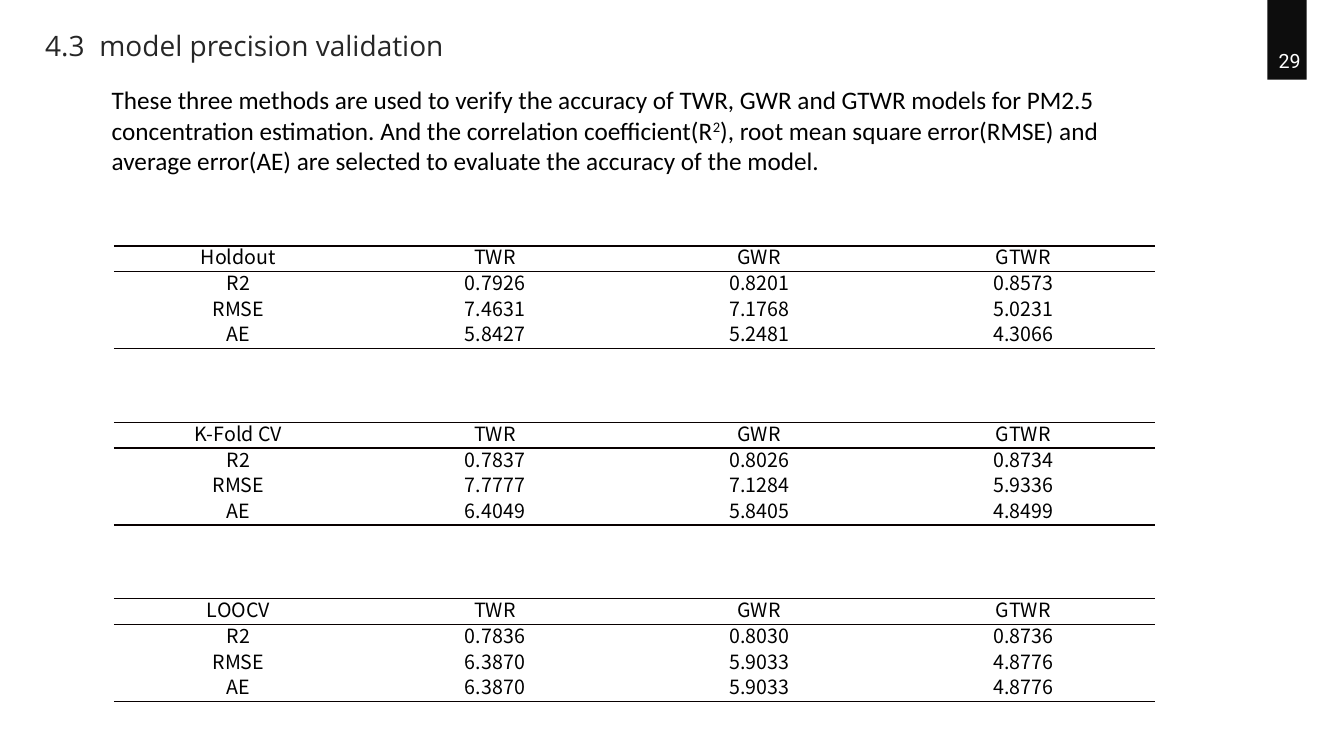
from lxml.etree import SubElement
from pptx import Presentation
from pptx.dml.color import RGBColor
from pptx.enum.shapes import MSO_SHAPE
from pptx.enum.text import MSO_ANCHOR, PP_ALIGN
from pptx.oxml.ns import qn
from pptx.util import Inches, Pt

BLACK = RGBColor(0x00, 0x00, 0x00)
RULE = RGBColor(0x08, 0x00, 0x00)
TAB = RGBColor(0x0D, 0x0D, 0x0D)
TITLE = RGBColor(0x26, 0x26, 0x26)
WHITE = RGBColor(0xFF, 0xFF, 0xFF)

TABLE_LEFT, TABLE_TOP, TABLE_STEP = 1.13, 2.44, 1.75
COLUMN_WIDTHS = [2.47, 2.62, 2.62, 2.62]
ROW_HEIGHT = 0.255
MODELS = ["TWR", "GWR", "GTWR"]
METRICS = ["R2", "RMSE", "AE"]
VALIDATIONS = {
    "Holdout": [
        ["0.7926", "0.8201", "0.8573"],
        ["7.4631", "7.1768", "5.0231"],
        ["5.8427", "5.2481", "4.3066"],
    ],
    "K-Fold CV": [
        ["0.7837", "0.8026", "0.8734"],
        ["7.7777", "7.1284", "5.9336"],
        ["6.4049", "5.8405", "4.8499"],
    ],
    "LOOCV": [
        ["0.7836", "0.8030", "0.8736"],
        ["6.3870", "5.9033", "4.8776"],
        ["6.3870", "5.9033", "4.8776"],
    ],
}


def add_run(paragraph, text, font_name, size, color):
    run = paragraph.add_run()
    run.text = text
    run.font.name = font_name
    run.font.size = Pt(size)
    run.font.color.rgb = color
    return run


def set_borders(cell, ruled_sides):
    properties = cell._tc.get_or_add_tcPr()
    for position, side in enumerate(["lnL", "lnR", "lnT", "lnB"]):
        line = properties.makeelement(qn("a:" + side), {"w": str(Pt(1))})
        if side in ruled_sides:
            fill = SubElement(line, qn("a:solidFill"))
            SubElement(fill, qn("a:srgbClr"), val=str(RULE))
        else:
            SubElement(line, qn("a:noFill"))
        properties.insert(position, line)


presentation = Presentation()
presentation.slide_width = Inches(13.33)
presentation.slide_height = Inches(7.5)
slide = presentation.slides.add_slide(presentation.slide_layouts[6])

page_tab = slide.shapes.add_shape(
    MSO_SHAPE.RECTANGLE, Inches(12.57), Inches(0), Inches(0.39), Inches(0.79)
)
page_tab.shadow.inherit = False
page_tab.fill.solid()
page_tab.fill.fore_color.rgb = TAB
page_tab.line.fill.background()

text_boxes = [
    ((12.43, 0.43, 0.72, 0.34), PP_ALIGN.CENTER, MSO_ANCHOR.MIDDLE,
     ["29"], ("Roboto", 14, WHITE)),
    ((0.35, 0.23, 4.98, 0.44), PP_ALIGN.LEFT, MSO_ANCHOR.TOP,
     ["4.3  model precision validation"], ("Open Sans", 20, TITLE)),
    ((1.01, 0.79, 10.6, 1.01), PP_ALIGN.LEFT, MSO_ANCHOR.TOP,
     ["These three methods are used to verify the accuracy of TWR, GWR and GTWR "
      "models for PM2.5 concentration estimation. And the correlation coefficient(R",
      "2",
      "), root mean square error(RMSE) and average error(AE) are selected to "
      "evaluate the accuracy of the model."], ("Calibri", 18, BLACK)),
]
for box, alignment, anchor, texts, style in text_boxes:
    text_frame = slide.shapes.add_textbox(*map(Inches, box)).text_frame
    text_frame.word_wrap = True
    text_frame.vertical_anchor = anchor
    paragraph = text_frame.paragraphs[0]
    paragraph.alignment = alignment
    for text in texts:
        run = add_run(paragraph, text, *style)
        if text == "2":
            run._r.get_or_add_rPr().set("baseline", "30000")

cell_format = {
    "margin_left": Inches(0.01),
    "margin_right": Inches(0.01),
    "margin_top": Inches(0.01),
    "margin_bottom": Inches(0.01),
    "vertical_anchor": MSO_ANCHOR.MIDDLE,
}
ruled_rows = {0: ["lnT", "lnB"], 1: ["lnT"], len(METRICS): ["lnB"]}

for index, (method, values) in enumerate(VALIDATIONS.items()):
    rows = [[method] + MODELS]
    rows += [[metric] + scores for metric, scores in zip(METRICS, values)]
    table = slide.shapes.add_table(
        len(rows), len(COLUMN_WIDTHS),
        Inches(TABLE_LEFT), Inches(TABLE_TOP + index * TABLE_STEP),
        Inches(sum(COLUMN_WIDTHS)), Inches(ROW_HEIGHT * len(rows)),
    ).table
    table.first_row = False
    table.horz_banding = False
    for column, width in zip(table.columns, COLUMN_WIDTHS):
        column.width = Inches(width)
    for row_index, row in enumerate(rows):
        table.rows[row_index].height = Inches(ROW_HEIGHT)
        for column_index, text in enumerate(row):
            cell = table.cell(row_index, column_index)
            for name, value in cell_format.items():
                setattr(cell, name, value)
            cell.fill.background()
            set_borders(cell, ruled_rows.get(row_index, []))
            paragraph = cell.text_frame.paragraphs[0]
            paragraph.alignment = PP_ALIGN.CENTER
            paragraph.line_spacing = Pt(16.9)
            add_run(paragraph, text, "Noto Sans CJK SC", 14, BLACK)

presentation.save("out.pptx")
